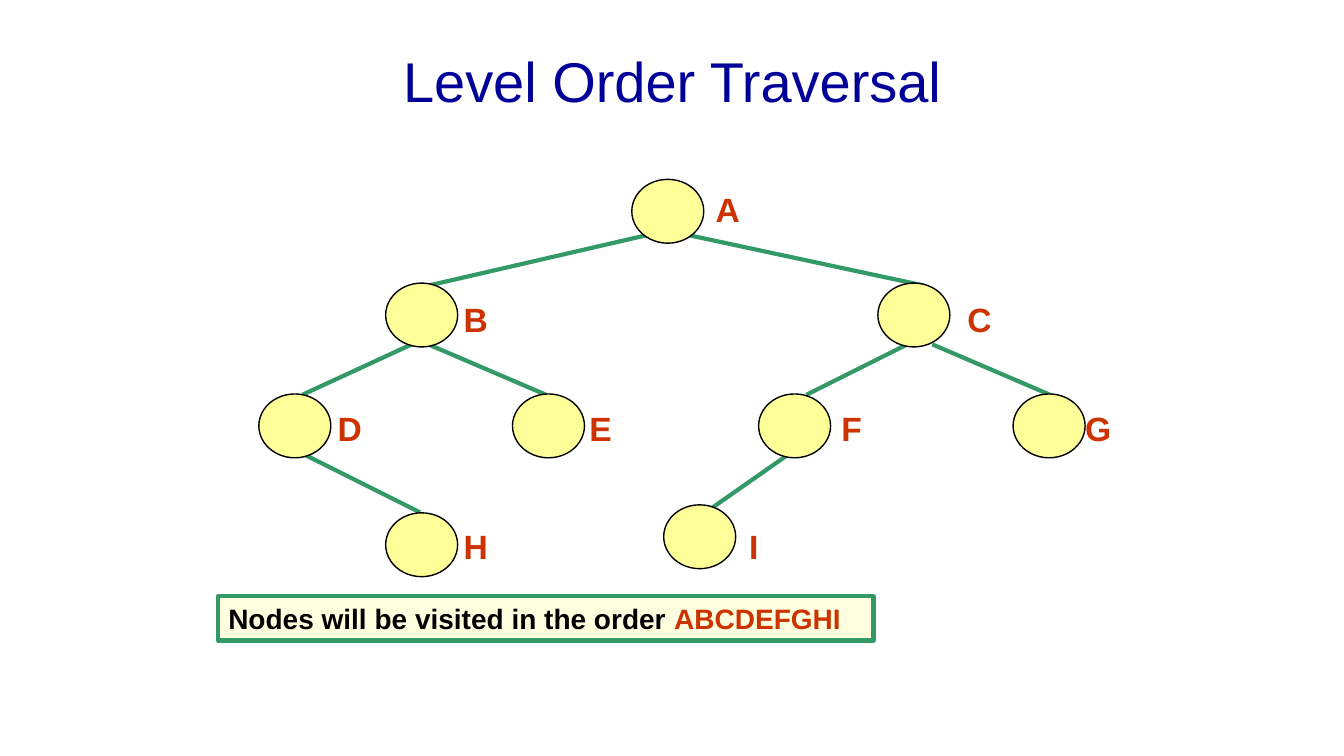
from dataclasses import dataclass

from lxml import etree
from pptx import Presentation
from pptx import util as u
from pptx.dml.color import RGBColor
from pptx.enum import shapes, text
from pptx.oxml import ns


@dataclass(frozen=True)
class Theme:
    font: str = "Arial"
    title: str = "000099"
    label: str = "CC3300"
    ink: str = "000000"
    edge: str = "339966"
    node: str = "FFFF99"
    note: str = "FFFFDF"
    big: int = 40
    mid: int = 24
    small: int = 20
    thick: int = 3
    thin: int = 1


THEME = Theme()
COLS, ROWS = 160, 90
CELL = u.Inches(1) // 12
NODE_W, NODE_H = 8.57, 7.6

# name: centre column and row of the node, then label column, row and width
NODES = {
    "A": (79.5, 25.15, 84, 21.85, 16),
    "B": (50.2, 37.5, 54, 35, 20),
    "C": (108.8, 37.5, 114, 35, 19),
    "D": (35.1, 50.7, 39, 48, 16),
    "E": (65.3, 50.7, 69, 48, 17),
    "F": (94.6, 50.7, 99, 48, 18),
    "G": (124.9, 50.7, 128, 48, 7),
    "H": (50.2, 64.85, 54, 62, 16),
    "I": (83.3, 63.9, 88, 62, 16),
}

# parent and child: column and row of each end
EDGES = {
    "AB": (77, 28, 51, 34),
    "AC": (82, 28, 110, 34),
    "BD": (49, 41, 36, 47),
    "BE": (51, 41, 65, 47),
    "CF": (108, 41, 96, 47),
    "CG": (111, 41, 125, 47),
    "DH": (36, 54, 50, 61),
    "FI": (94, 54, 84, 61),
}


def grid(*cells):
    return [round(cell * CELL) for cell in cells]


def color(code):
    return RGBColor.from_string(code)


def style(para, size, code, bold=False):
    font = para.font
    font.name, font.size, font.bold = THEME.font, u.Pt(size), bold
    font.color.rgb = color(code)


def add_title(slide, words):
    title = slide.shapes.title
    title.left, title.top, title.width, title.height = grid(12, 2, 136, 15)
    frame = title.text_frame
    frame.text = words
    frame.vertical_anchor = text.MSO_ANCHOR.MIDDLE
    para = frame.paragraphs[0]
    para.alignment = text.PP_ALIGN.CENTER
    style(para, THEME.big, THEME.title)


def add_label(slide, name, col, row, width):
    box = slide.shapes.add_textbox(*grid(col, row, width, 6))
    frame = box.text_frame
    frame.word_wrap = True
    frame.text = name
    style(frame.paragraphs[0], THEME.mid, THEME.label, True)


def add_edge(slide, ends):
    line = slide.shapes.add_connector(shapes.MSO_CONNECTOR.STRAIGHT, *grid(*ends))
    line.line.color.rgb = color(THEME.edge)
    line.line.width = u.Pt(THEME.thick)
    etree.SubElement(line._element.spPr, ns.qn("a:effectLst"))


def add_form(slide, kind, place, fill, line, width):
    form = slide.shapes.add_shape(kind, *grid(*place))
    form.shadow.inherit = False
    form.fill.solid()
    form.fill.fore_color.rgb = color(fill)
    form.line.color.rgb = color(line)
    form.line.width = u.Pt(width)
    return form


def add_node(slide, col, row):
    place = (col - NODE_W / 2, row - NODE_H / 2, NODE_W, NODE_H)
    add_form(slide, shapes.MSO_SHAPE.OVAL, place,
             THEME.node, THEME.ink, THEME.thin)


def add_note(slide, words, order):
    form = add_form(slide, shapes.MSO_SHAPE.RECTANGLE, (26, 71, 78, 5.25),
                    THEME.note, THEME.edge, THEME.thick)
    frame = form.text_frame
    frame.word_wrap = True
    frame.vertical_anchor = text.MSO_ANCHOR.TOP
    para = frame.paragraphs[0]
    para.alignment = text.PP_ALIGN.LEFT
    style(para, THEME.small, THEME.ink, True)
    para.add_run().text = words
    run = para.add_run()
    run.text = order
    run.font.color.rgb = color(THEME.label)


def main():
    deck = Presentation()
    deck.slide_width, deck.slide_height = grid(COLS, ROWS)
    slide = deck.slides.add_slide(deck.slide_layouts[5])
    add_title(slide, "Level Order Traversal")
    for name, (_, _, *place) in NODES.items():
        add_label(slide, name, *place)
    add_note(slide, "Nodes will be visited in the order ", "".join(NODES))
    for ends in EDGES.values():
        add_edge(slide, ends)
    for col, row, *_ in NODES.values():
        add_node(slide, col, row)
    deck.save("out.pptx")


if __name__ == "__main__":
    main()
